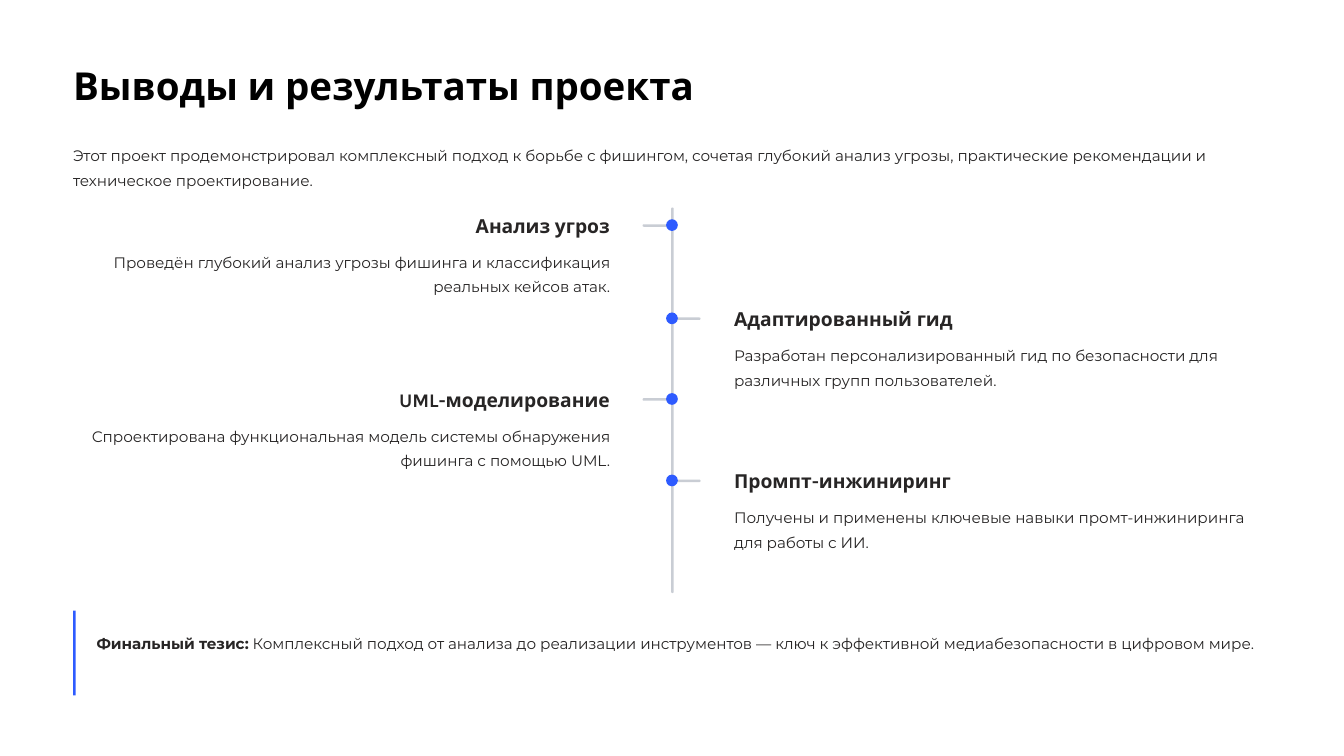
from dataclasses import dataclass

from pptx import Presentation
from pptx.dml.color import RGBColor
from pptx.enum.shapes import MSO_SHAPE as Shape
from pptx.enum.text import MSO_ANCHOR as Anchor, MSO_AUTO_SIZE as AutoSize, PP_ALIGN as Align
from pptx.util import Inches, Pt


@dataclass(frozen=True)
class TextStyle:
    font: str
    size: float
    leading: float
    color: str
    bold: bool = False


@dataclass(frozen=True)
class Theme:
    accent: str = "2E5BFF"
    rail: str = "C9CDD4"
    title: TextStyle = TextStyle("Karla", 33, 41.5, "000000", True)
    heading: TextStyle = TextStyle("Karla", 16.5, 20.5, "272525", True)
    body: TextStyle = TextStyle("Montserrat", 13, 21, "272525")


class SlideBuilder:
    def __init__(self, page, theme):
        self.page = page
        self.theme = theme

    def fill_text(self, box, spans, style, align=Align.LEFT, wrap=True):
        """Write (text, bold) spans as one paragraph."""
        frame = box.text_frame
        frame.margin_left = frame.margin_right = frame.margin_top = frame.margin_bottom = 0
        frame.auto_size = AutoSize.NONE
        frame.vertical_anchor = Anchor.TOP
        frame.word_wrap = wrap
        para = frame.paragraphs[0]
        para.alignment = align
        para.line_spacing = Pt(style.leading)
        para.space_before = Pt(0)
        para.font.name = style.font
        para.font.size = Pt(style.size)
        para.font.color.rgb = RGBColor.from_string(style.color)
        para.font.bold = style.bold
        for text, bold in spans:
            span = para.add_run()
            span.text = text
            if bold != style.bold:
                span.font.bold = bold

    def title(self, text, left, top, width, height):
        box = self.page.shapes.title
        box.left, box.top, box.width, box.height = map(Inches, (left, top, width, height))
        style = self.theme.title
        self.fill_text(box, [(text, style.bold)], style, wrap=False)

    def text(self, spans, style, left, top, width, height, align=Align.LEFT, wrap=True):
        box = self.page.shapes.add_textbox(*map(Inches, (left, top, width, height)))
        if isinstance(spans, str):
            spans = [(spans, style.bold)]
        self.fill_text(box, spans, style, align, wrap)

    def block(self, color, left, top, width, height, rounded=True):
        kind = Shape.ROUNDED_RECTANGLE if rounded else Shape.RECTANGLE
        block = self.page.shapes.add_shape(kind, *map(Inches, (left, top, width, height)))
        if rounded:
            block.adjustments[0] = 0.5
        block.shadow.inherit = False
        block.fill.solid()
        block.fill.fore_color.rgb = RGBColor.from_string(color)
        block.line.fill.background()

    def milestone(self, top, heading, heading_width, body, on_left):
        """Tick, dot and text on one side of the rail."""
        theme = self.theme
        body_width, right_edge = 6.39, 7.26
        align = Align.RIGHT if on_left else Align.LEFT
        heading_left = right_edge - heading_width if on_left else 8.74
        body_left = right_edge - body_width if on_left else 8.74
        self.block(theme.rail, 7.65 if on_left else 7.97, top + 0.13, 0.37, 0.03)
        self.block(theme.accent, 7.93, top + 0.07, 0.14, 0.14)
        self.text(heading, theme.heading, heading_left, top, heading_width, 0.29, align, wrap=False)
        self.text(body, theme.body, body_left, top + 0.4, body_width, 0.6, align)


MILESTONES = [
    (2.54, "Анализ угроз", 2.33,
     "Проведён глубокий анализ угрозы фишинга и классификация реальных кейсов атак."),
    (3.65, "Адаптированный гид", 2.63,
     "Разработан персонализированный гид по безопасности для различных групп пользователей."),
    (4.61, "UML-моделирование", 2.53,
     "Спроектирована функциональная модель системы обнаружения фишинга с помощью UML."),
    (5.58, "Промпт-инжиниринг", 2.63,
     "Получены и применены ключевые навыки промт-инжиниринга для работы с ИИ."),
]


def main():
    deck = Presentation()
    deck.slide_width, deck.slide_height = Inches(16), Inches(9)
    theme = Theme()
    builder = SlideBuilder(deck.slides.add_slide(deck.slide_layouts[5]), theme)

    # Title and introduction
    builder.title("Выводы и результаты проекта", 0.87, 0.71, 7.46, 0.58)
    builder.text(
        "Этот проект продемонстрировал комплексный подход к борьбе с фишингом, сочетая глубокий "
        "анализ угрозы, практические рекомендации и техническое проектирование.",
        theme.body, 0.87, 1.67, 14.26, 0.6)

    # Timeline, alternating left and right
    builder.block(theme.rail, 7.99, 2.47, 0.03, 4.59)
    for index, (top, heading, width, body) in enumerate(MILESTONES):
        builder.milestone(top, heading, width, body, on_left=index % 2 == 0)

    # Closing thesis with accent bar
    builder.text(
        [("Финальный тезис:", True),
         (" Комплексный подход от анализа до реализации инструментов — ключ к эффективной "
          "медиабезопасности в цифровом мире.", False)],
        theme.body, 1.15, 7.48, 13.98, 0.6)
    builder.block(theme.accent, 0.87, 7.27, 0.03, 1.01, rounded=False)

    deck.save("out.pptx")


if __name__ == "__main__":
    main()
